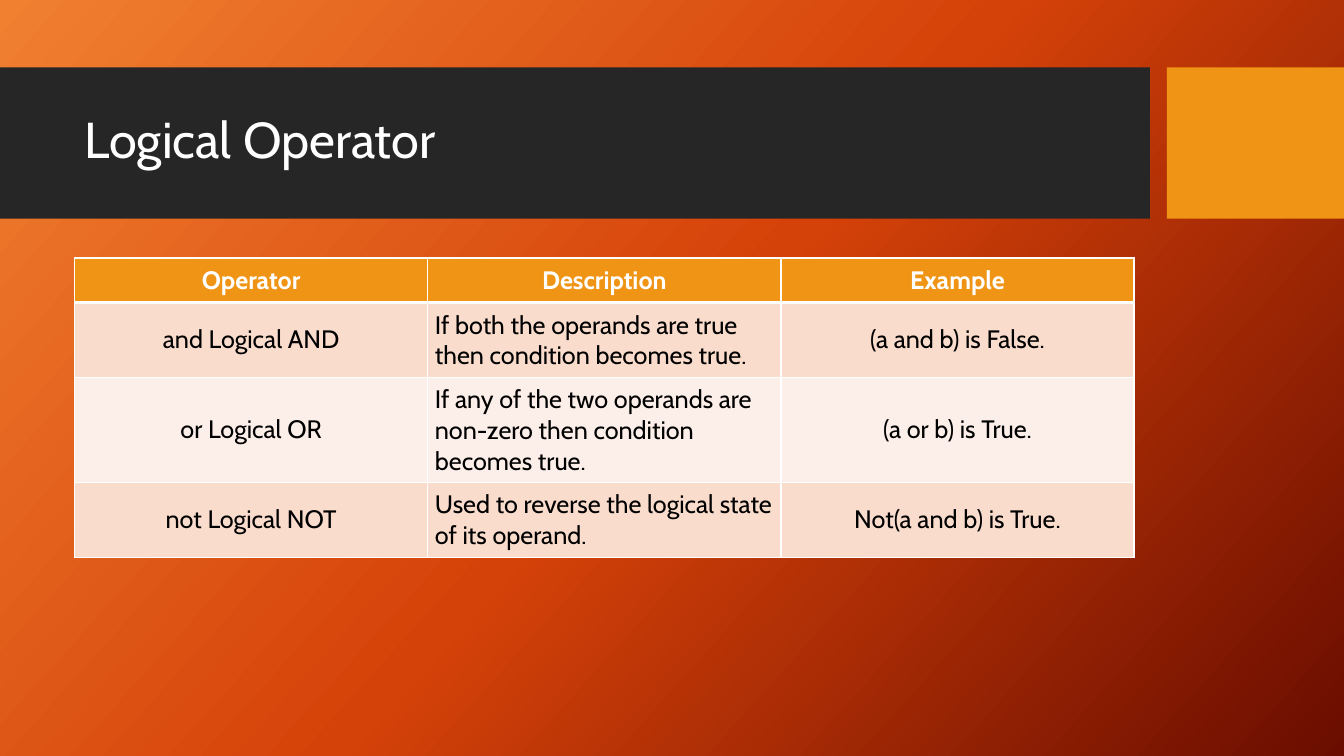
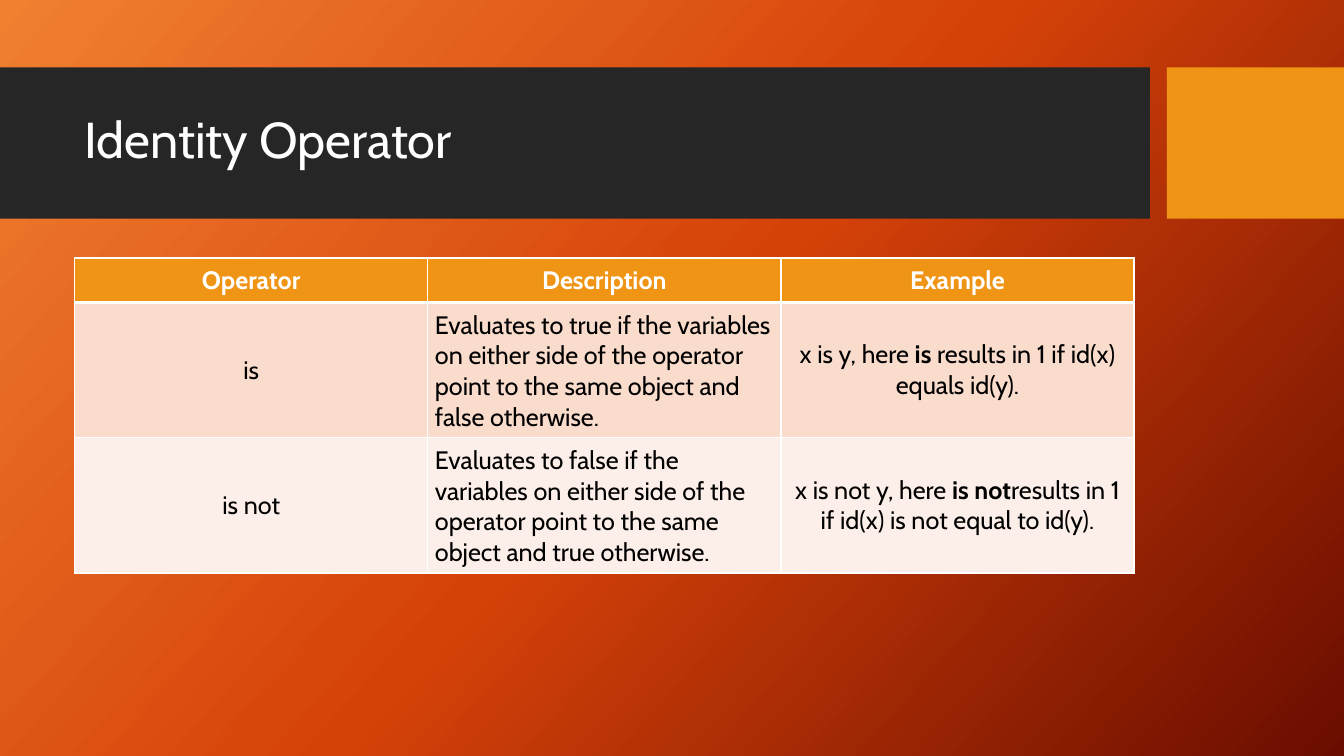
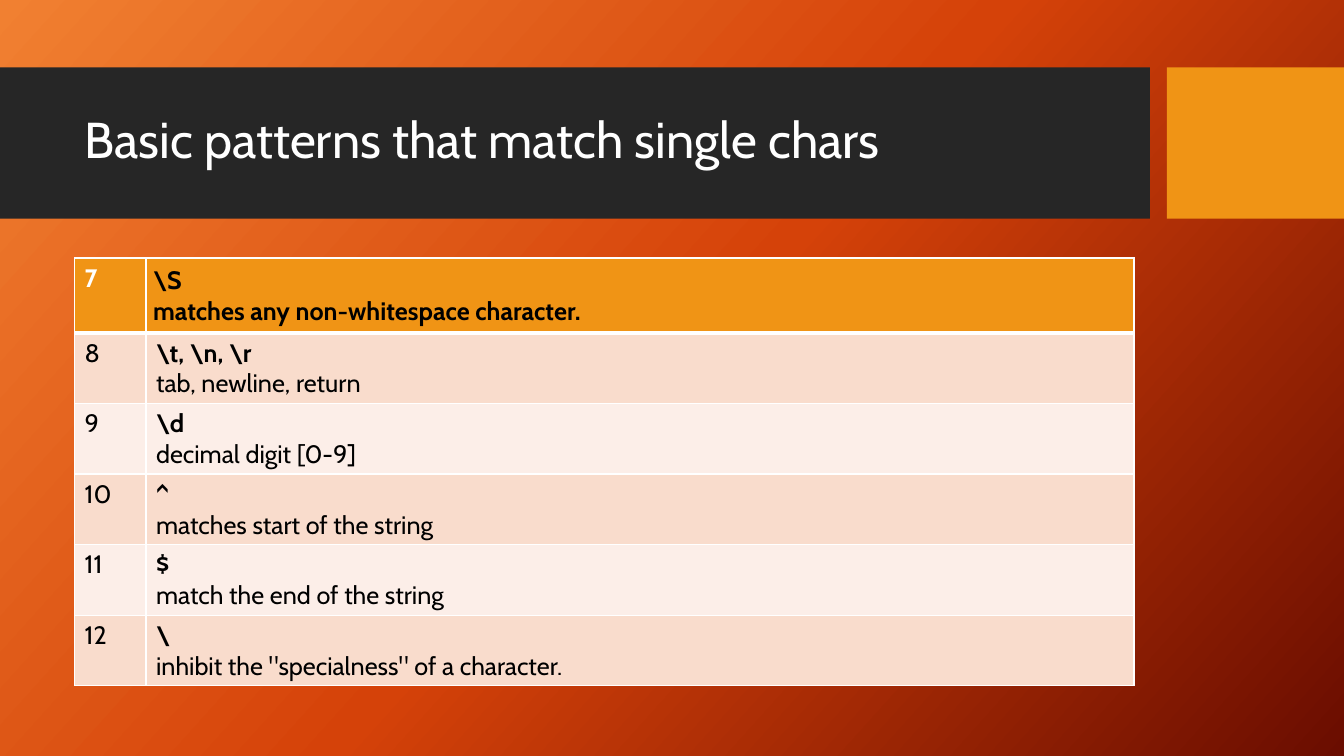
from collections import namedtuple
from dataclasses import dataclass

from lxml import etree
from pptx import Presentation
from pptx import util as u
from pptx.dml.color import RGBColor
from pptx.enum import shapes, text
from pptx.oxml import ns

Cm, Pt = u.Cm, u.Pt


@dataclass(frozen=True)
class Theme:
    font: str = "Cabin"
    white: str = "FFFFFF"
    black: str = "000000"
    dark: str = "262626"
    gold: str = "F09415"
    bands: tuple = ("F9DCCC", "FCEEE8")
    glow: tuple = ((0, "F18031"), (50, "D54209"), (100, "6A0D00"))
    angle: int = 42
    head: int = 36
    body: int = 18
    thin: int = 1
    thick: int = 3


# How a cell sets its text; pad is an equal inset in cm, or None for the default
Look = namedtuple("Look", "align anchor pad")
LEFT = Look(text.PP_ALIGN.LEFT, text.MSO_ANCHOR.TOP, None)
JUST = Look(text.PP_ALIGN.JUSTIFY, text.MSO_ANCHOR.TOP, 0.18)
TIGHT = Look(text.PP_ALIGN.LEFT, text.MSO_ANCHOR.TOP, 0.18)
TOP = Look(text.PP_ALIGN.CENTER, text.MSO_ANCHOR.TOP, 0.18)
MID = Look(text.PP_ALIGN.CENTER, text.MSO_ANCHOR.MIDDLE, 0.18)


class Deck:
    edge, wide = 1.88, 26.7

    def __init__(self, theme):
        self.theme = theme
        self.prs = Presentation()
        self.prs.slide_width, self.prs.slide_height = Cm(33.87), Cm(19.05)

    def page(self, title):
        """Start a slide with the shared backdrop, bands and title."""
        t = self.theme
        self.slide = self.prs.slides.add_slide(self.prs.slide_layouts[6])
        self.glow()
        self.band(0, 28.98, t.dark)
        self.band(29.41, 4.46, t.gold)
        self.title(title)

    def glow(self):
        fill = self.slide.background.fill
        fill.gradient()
        fill.gradient_angle = 360 - self.theme.angle
        stops = next(self.slide.element.iter(ns.qn("a:gsLst")))
        for old in list(stops):
            stops.remove(old)
        for pos, tone in self.theme.glow:
            stop = etree.SubElement(stops, ns.qn("a:gs"), pos=str(pos * 1000))
            etree.SubElement(stop, ns.qn("a:srgbClr"), val=tone)

    def band(self, left, width, tone):
        box = self.slide.shapes.add_shape(
            shapes.MSO_SHAPE.RECTANGLE, Cm(left), Cm(1.7), Cm(width), Cm(3.81))
        box.shadow.inherit = False
        box.fill.solid()
        box.fill.fore_color.rgb = RGBColor.from_string(tone)
        box.line.fill.background()

    def title(self, words):
        box = self.slide.shapes.add_textbox(
            Cm(self.edge), Cm(2.08), Cm(self.wide), Cm(3))
        frame = box.text_frame
        frame.word_wrap = True
        frame.vertical_anchor = text.MSO_ANCHOR.MIDDLE
        para = frame.paragraphs[0]
        para.line_spacing = 0.9
        self.say(para, words, self.theme.head, self.theme.white)

    def say(self, para, words, size, tone, bold=False):
        """Fill a paragraph; words between asterisks are bold."""
        font = para.font
        font.name, font.size, font.bold = self.theme.font, Pt(size), bold
        font.color.rgb = RGBColor.from_string(tone)
        for i, part in enumerate(words.split("*")):
            if part:
                run = para.add_run()
                run.text = part
                if i % 2:
                    run.font.bold = True

    def table(self, widths, rows, heads, looks, inks):
        """Draw a table; heads and inks style the first row, looks the rest."""
        t = self.theme
        grid = self.slide.shapes.add_table(
            len(rows), len(widths), Cm(self.edge), Cm(6.5),
            Cm(self.wide), Cm(1.04 * len(rows))).table
        grid.horz_banding = False
        for col, width in zip(grid.columns, widths):
            col.width = Cm(width)
        for r, row in enumerate(rows):
            for c, words in enumerate(row):
                cell = grid.cell(r, c)
                top = r == 0
                look = heads[c] if top else looks[c]
                tone = t.gold if top else t.bands[(r - 1) % 2]
                self.cell(cell, tone, look)
                self.rule(cell, t.thick if r == 1 else t.thin,
                          t.thick if top else t.thin)
                frame = cell.text_frame
                for n, line in enumerate(words.split("\n")):
                    para = frame.add_paragraph() if n else frame.paragraphs[0]
                    para.alignment = look.align
                    self.say(para, line, t.body,
                             inks[c] if top else t.black, top)

    def cell(self, cell, tone, look):
        cell.fill.solid()
        cell.fill.fore_color.rgb = RGBColor.from_string(tone)
        cell.vertical_anchor = look.anchor
        if look.pad is not None:
            cell.margin_left = cell.margin_right = Cm(look.pad)
            cell.margin_top = cell.margin_bottom = Cm(look.pad)

    def rule(self, cell, above, below):
        """Draw the four borders, which must come before the fill."""
        props = cell._tc.get_or_add_tcPr()
        thin = self.theme.thin
        sides = {"L": thin, "R": thin, "T": above, "B": below}
        for i, (side, size) in enumerate(sides.items()):
            line = etree.Element(ns.qn("a:ln" + side), w=str(int(Pt(size))))
            fill = etree.SubElement(line, ns.qn("a:solidFill"))
            etree.SubElement(fill, ns.qn("a:srgbClr"), val=self.theme.white)
            props.insert(i, line)


def main():
    t = Theme()
    deck = Deck(t)
    names = ("Operator", "Description", "Example")
    trio = dict(widths=[8.9] * 3, heads=[TOP] * 3,
                looks=[MID, TIGHT, MID], inks=[t.white] * 3)

    # Logical operators
    deck.page("Logical Operator")
    deck.table(rows=[
        names,
        ("and Logical AND",
         "If both the operands are true then condition becomes true.",
         "(a and b) is False."),
        ("or Logical OR",
         "If any of the two operands are non-zero then condition becomes true.",
         "(a or b) is True."),
        ("not Logical NOT",
         "Used to reverse the logical state of its operand.",
         "Not(a and b) is True."),
    ], **trio)

    # Identity operators
    deck.page("Identity Operator")
    deck.table(rows=[
        names,
        ("is",
         "Evaluates to true if the variables on either side of the operator "
         "point to the same object and false otherwise.",
         "x is y, here *is* results in 1 if id(x) equals id(y)."),
        ("is not",
         "Evaluates to false if the variables on either side of the operator "
         "point to the same object and true otherwise.",
         "x is not y, here *is not*results in 1 if id(x) is not equal to id(y)."),
    ], **trio)

    # Patterns, numbered on from 7
    deck.page("Basic patterns that match single chars")
    marks = [
        (r"\S", "matches any non-whitespace character."),
        (r"\t, \n, \r", "tab, newline, return"),
        (r"\d", "decimal digit [0-9]"),
        ("^", "matches start of the string"),
        ("$", "match the end of the string"),
        ("\\", 'inhibit the "specialness" of a character.'),
    ]
    deck.table(
        widths=[1.8, 24.9],
        rows=[(str(n), f"*{mark}*\n{note}")
              for n, (mark, note) in enumerate(marks, 7)],
        heads=[LEFT, JUST], looks=[LEFT, LEFT], inks=[t.white, t.black])

    deck.prs.save("out.pptx")


if __name__ == "__main__":
    main()
